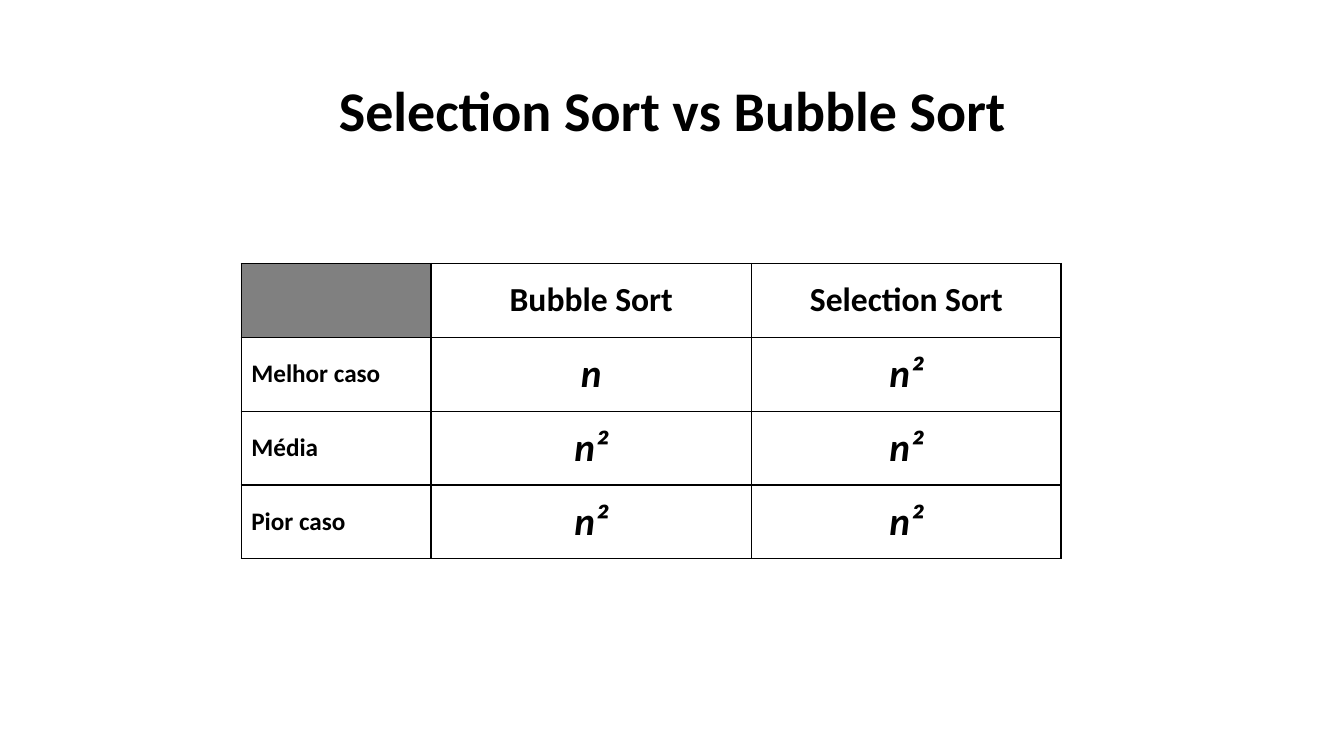
from dataclasses import dataclass

from lxml import etree
from pptx import Presentation
from pptx.dml.color import RGBColor
from pptx.enum.text import MSO_ANCHOR, PP_ALIGN
from pptx.oxml.ns import qn
from pptx.util import Cm, Pt

LEFT, CENTER = PP_ALIGN.LEFT, PP_ALIGN.CENTER
MIDDLE = MSO_ANCHOR.MIDDLE


@dataclass(frozen=True)
class Theme:
    font: str = "Calibri"
    ink: str = "000000"
    paper: str = "FFFFFF"
    corner: str = "808080"
    title_size: int = 40
    heading_size: int = 24
    case_size: int = 18
    cost_size: int = 28
    border_width: int = 1


class SlideBuilder:
    def __init__(self, slide, theme):
        self.slide = slide
        self.theme = theme

    def add_text(self, frame, text, size, align=CENTER, italic=False):
        paragraph = frame.paragraphs[0]
        paragraph.alignment = align
        run = paragraph.add_run()
        run.text = text
        font_format = {"name": self.theme.font, "size": Pt(size),
                       "bold": True, "italic": italic}
        for attribute, value in font_format.items():
            setattr(run.font, attribute, value)
        run.font.color.rgb = RGBColor.from_string(self.theme.ink)
        return paragraph

    def title(self, text, left, top, width, height):
        box = self.slide.shapes.add_textbox(Cm(left), Cm(top), Cm(width), Cm(height))
        frame = box.text_frame
        frame.word_wrap = True
        frame.vertical_anchor = MIDDLE
        self.add_text(frame, text, self.theme.title_size).line_spacing = 0.9

    def border(self, cell):
        properties = cell._tc.get_or_add_tcPr()
        for position, side in enumerate(("a:lnL", "a:lnR", "a:lnT", "a:lnB")):
            line = etree.Element(qn(side), w=str(Pt(self.theme.border_width)))
            fill = etree.SubElement(line, qn("a:solidFill"))
            etree.SubElement(fill, qn("a:srgbClr"), val=self.theme.ink)
            properties.insert(position, line)

    def cell_style(self, row, column):
        if row == 0:
            return {"size": self.theme.heading_size}
        if column == 0:
            return {"size": self.theme.case_size, "align": LEFT}
        return {"size": self.theme.cost_size, "italic": True}

    def table(self, rows, left, top, column_widths, row_height):
        table = self.slide.shapes.add_table(
            len(rows), len(column_widths), Cm(left), Cm(top),
            Cm(sum(column_widths)), Cm(row_height * len(rows))).table
        for column, width in zip(table.columns, column_widths):
            column.width = Cm(width)
        for r, texts in enumerate(rows):
            table.rows[r].height = Cm(row_height)
            for c, text in enumerate(texts):
                cell = table.cell(r, c)
                cell.vertical_anchor = MIDDLE
                cell.fill.solid()
                color = self.theme.paper if text else self.theme.corner
                cell.fill.fore_color.rgb = RGBColor.from_string(color)
                self.border(cell)
                if text:
                    self.add_text(cell.text_frame, text, **self.cell_style(r, c))


def main():
    presentation = Presentation()
    presentation.slide_width, presentation.slide_height = Cm(33.87), Cm(19.05)
    slide = presentation.slides.add_slide(presentation.slide_layouts[6])
    builder = SlideBuilder(slide, Theme())

    # Title
    builder.title("Selection Sort vs Bubble Sort", 2.34, 1.02, 29.21, 3.68)

    # Complexity of each algorithm by case
    complexity = [
        ("", "Bubble Sort", "Selection Sort"),
        ("Melhor caso", "n", "n²"),
        ("Média", "n²", "n²"),
        ("Pior caso", "n²", "n²"),
    ]
    builder.table(complexity, 6.08, 6.64, (4.78, 8.08, 7.8), 1.86)

    presentation.save("out.pptx")


if __name__ == "__main__":
    main()
